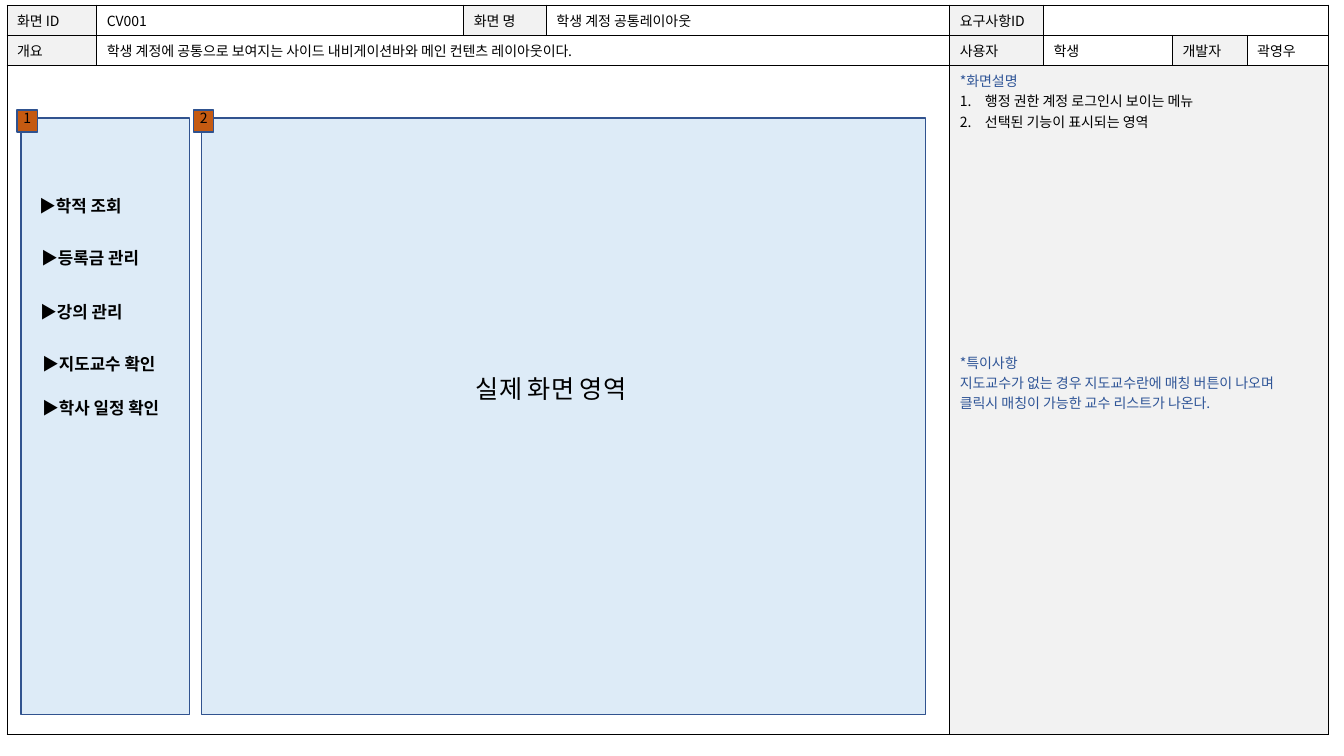
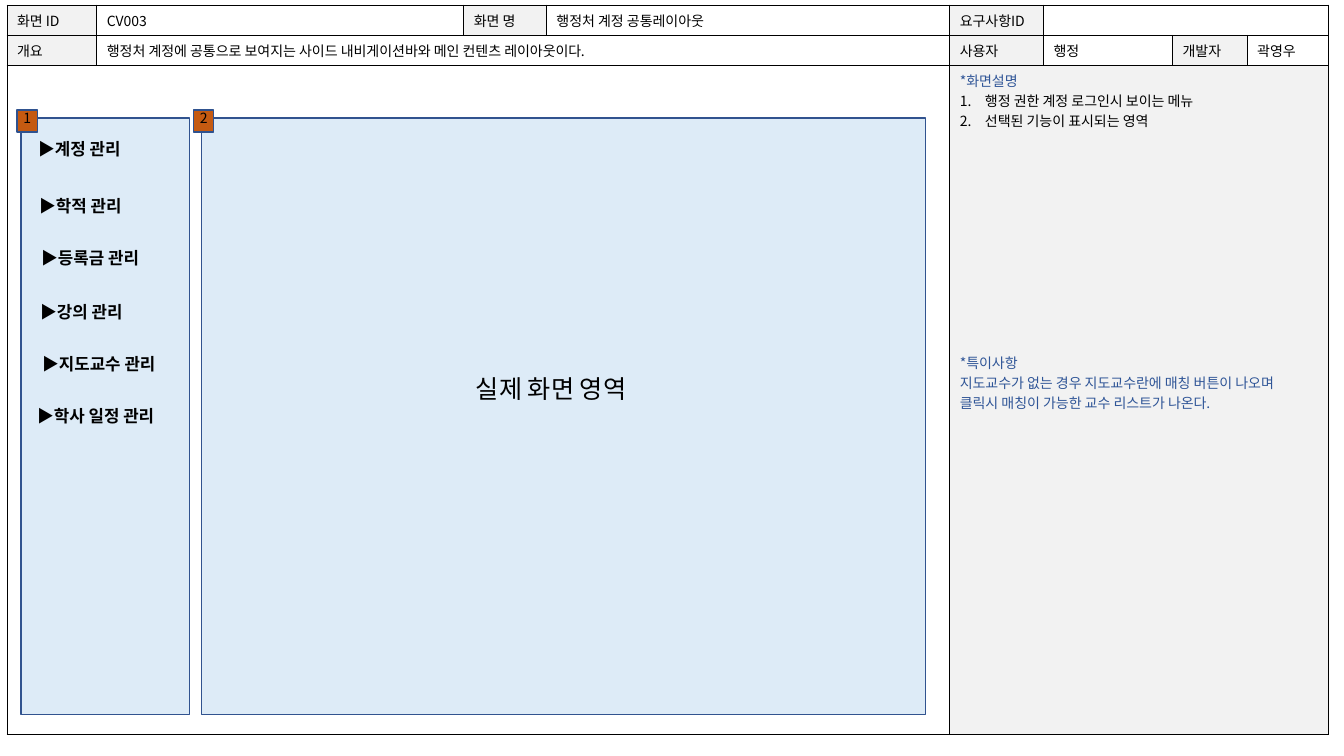
from lxml import etree
from pptx import Presentation
from pptx import util as u
from pptx.dml.color import RGBColor
from pptx.enum import shapes, text
from pptx.oxml import ns

PX = 9144
FONT = "Noto Sans CJK KR"
BLACK, WHITE, GREY = "000000", "FFFFFF", "F2F2F2"
NAVY, PALE, ORANGE = "2F5597", "DDEBF7", "C55A11"
PANEL_LINE, BADGE_LINE = "31538F", "2F528F"
COLUMNS = [89, 364, 82, 400, 93, 128, 74, 81]
ROWS = [30, 30, 664]
MERGES = [((0, 5), (0, 7)), ((1, 1), (1, 3)), ((2, 0), (2, 3)), ((2, 4), (2, 7))]
LABELS = {(0, 0): "화면 ID", (0, 2): "화면 명", (0, 4): "요구사항ID",
          (1, 0): "개요", (1, 4): "사용자", (1, 6): "개발자"}
GREY_CELLS = set(LABELS) | {(2, 4)}
NOTES = [
    ("*화면설명", {"color": NAVY}),
    ("행정 권한 계정 로그인시 보이는 메뉴", {"numbered": True}),
    ("선택된 기능이 표시되는 영역", {"numbered": True}),
    ("*특이사항", {"color": NAVY, "space": 158}),
    ("지도교수가 없는 경우 지도교수란에 매칭 버튼이 나오며", {"color": NAVY}),
    ("클릭시 매칭이 가능한 교수 리스트가 나온다.", {"color": NAVY}),
]
SCREENS = [
    {"id": "CV001", "account": "학생", "user": "학생",
     "menu": [(29, 189, 189, "학적 조회"), (31, 241, 189, "등록금 관리"),
              (30, 294, 189, "강의 관리"), (32, 346, 213, "지도교수 확인"),
              (32, 390, 213, "학사 일정 확인")]},
    {"id": "CV003", "account": "행정처", "user": "행정",
     "menu": [(28, 133, 189, "계정 관리"), (29, 189, 189, "학적 관리"),
              (31, 241, 189, "등록금 관리"), (30, 294, 189, "강의 관리"),
              (32, 346, 213, "지도교수 관리"), (27, 398, 213, "학사 일정 관리")]},
]


def px(*lengths):
    """Turn pixel lengths into EMU."""
    return [u.Emu(length * PX) for length in lengths]


def rgb(value):
    """Make a colour from a hex string."""
    return RGBColor.from_string(value)


def apply(target, values):
    """Set attributes of an object from a dict."""
    for name, value in values.items():
        setattr(target, name, value)


def write(para, words, size=10, color=BLACK, bold=False):
    """Add one formatted span to a paragraph."""
    span = para.add_run()
    span.text = words
    apply(span.font, {"size": u.Pt(size), "name": FONT, "bold": bold})
    span.font.color.rgb = rgb(color)
    etree.SubElement(span.font._element, ns.qn("a:ea"), typeface=FONT)


def number(para):
    """Give a paragraph an automatic number with a hanging indent."""
    properties = para._p.get_or_add_pPr()
    indent = px(25)[0]
    properties.set("marL", str(indent))
    properties.set("indent", str(-indent))
    etree.SubElement(properties, ns.qn("a:buFont"), typeface="+mj-lt")
    etree.SubElement(properties, ns.qn("a:buAutoNum"), type="arabicPeriod")


def style_cell(cell, fill):
    """Draw the borders of a cell, fill it and keep its empty line small."""
    properties = cell._tc.get_or_add_tcPr()
    for side in ("lnL", "lnR", "lnT", "lnB"):
        line = etree.SubElement(properties, ns.qn(f"a:{side}"), w=str(u.Pt(0.75)))
        solid = etree.SubElement(line, ns.qn("a:solidFill"))
        etree.SubElement(solid, ns.qn("a:srgbClr"), val=BLACK)
    cell.fill.solid()
    cell.fill.fore_color.rgb = rgb(fill)
    para = cell.text_frame.paragraphs[0]
    etree.SubElement(para._p, ns.qn("a:endParaRPr"), sz="1000")


def add_notes(frame):
    """Write the description column."""
    for index, (words, style) in enumerate(NOTES):
        para = frame.add_paragraph() if index else frame.paragraphs[0]
        if "space" in style:
            para.space_before = u.Pt(style["space"])
        if style.get("numbered"):
            number(para)
        write(para, words, color=style.get("color", BLACK))


def add_sheet(page, screen):
    """Add the specification table of one screen."""
    box = page.shapes.add_table(len(ROWS), len(COLUMNS), *px(7, 5, sum(COLUMNS), sum(ROWS)))
    table = box.table
    apply(table, {"first_row": False, "horz_banding": False})
    for column, width in zip(table.columns, px(*COLUMNS)):
        column.width = width
    for row, height in zip(table.rows, px(*ROWS)):
        row.height = height
    for start, end in MERGES:
        table.cell(*start).merge(table.cell(*end))
    account = screen["account"]
    words = {
        **LABELS,
        (0, 1): screen["id"],
        (0, 3): f"{account} 계정 공통레이아웃",
        (1, 1): f"{account} 계정에 공통으로 보여지는 사이드 내비게이션바와 메인 컨텐츠 레이아웃이다.",
        (1, 5): screen["user"],
        (1, 7): "곽영우",
    }
    for row in range(len(ROWS)):
        for column in range(len(COLUMNS)):
            place = (row, column)
            cell = table.cell(*place)
            style_cell(cell, GREY if place in GREY_CELLS else WHITE)
            if place in words:
                write(cell.text_frame.paragraphs[0], words[place])
    add_notes(table.cell(2, 4).text_frame)


def add_box(page, place, fill, line):
    """Add an outlined rectangle."""
    box = page.shapes.add_shape(shapes.MSO_SHAPE.RECTANGLE, *px(*place))
    box.shadow.inherit = False
    box.fill.solid()
    box.fill.fore_color.rgb = rgb(fill)
    box.line.color.rgb = rgb(line)
    box.line.width = u.Pt(1)
    return box


def add_badge(page, left, label):
    """Add a numbered marker on the corner of a panel."""
    frame = add_box(page, (left, 109, 20, 22), ORANGE, BADGE_LINE).text_frame
    apply(frame, dict.fromkeys(
        ("margin_left", "margin_top", "margin_right", "margin_bottom"), 0))
    frame.vertical_anchor = text.MSO_ANCHOR.TOP
    para = frame.paragraphs[0]
    para.alignment = text.PP_ALIGN.CENTER
    write(para, label)


def add_label(page, place, words, margin=5, align=text.PP_ALIGN.LEFT, **style):
    """Add a text box with one line."""
    frame = page.shapes.add_textbox(*px(*place)).text_frame
    side, end = px(10, margin)
    apply(frame, {"word_wrap": True, "auto_size": text.MSO_AUTO_SIZE.SHAPE_TO_FIT_TEXT,
                  "margin_left": side, "margin_right": side,
                  "margin_top": end, "margin_bottom": end})
    para = frame.paragraphs[0]
    para.alignment = align
    write(para, words, **style)


def add_screen(deck, screen):
    """Add the page that describes one screen layout."""
    page = deck.slides.add_slide(deck.slide_layouts[6])
    add_sheet(page, screen)
    for left, width in ((200, 718), (21, 167)):
        add_box(page, (left, 117, width, 592), PALE, PANEL_LINE)
    for left, top, width, words in screen["menu"]:
        add_label(page, (left, top, width, 30), f"▶{words}", size=12, bold=True)
    for left, label in ((17, "1"), (192, "2")):
        add_badge(page, left, label)
    add_label(page, (452, 360, 189, 44), "실제 화면 영역", margin=10,
              align=text.PP_ALIGN.CENTER, size=18)


def main():
    """Build and save the deck."""
    deck = Presentation()
    deck.slide_width, deck.slide_height = px(1333, 750)
    for screen in SCREENS:
        add_screen(deck, screen)
    deck.save("out.pptx")


if __name__ == "__main__":
    main()
